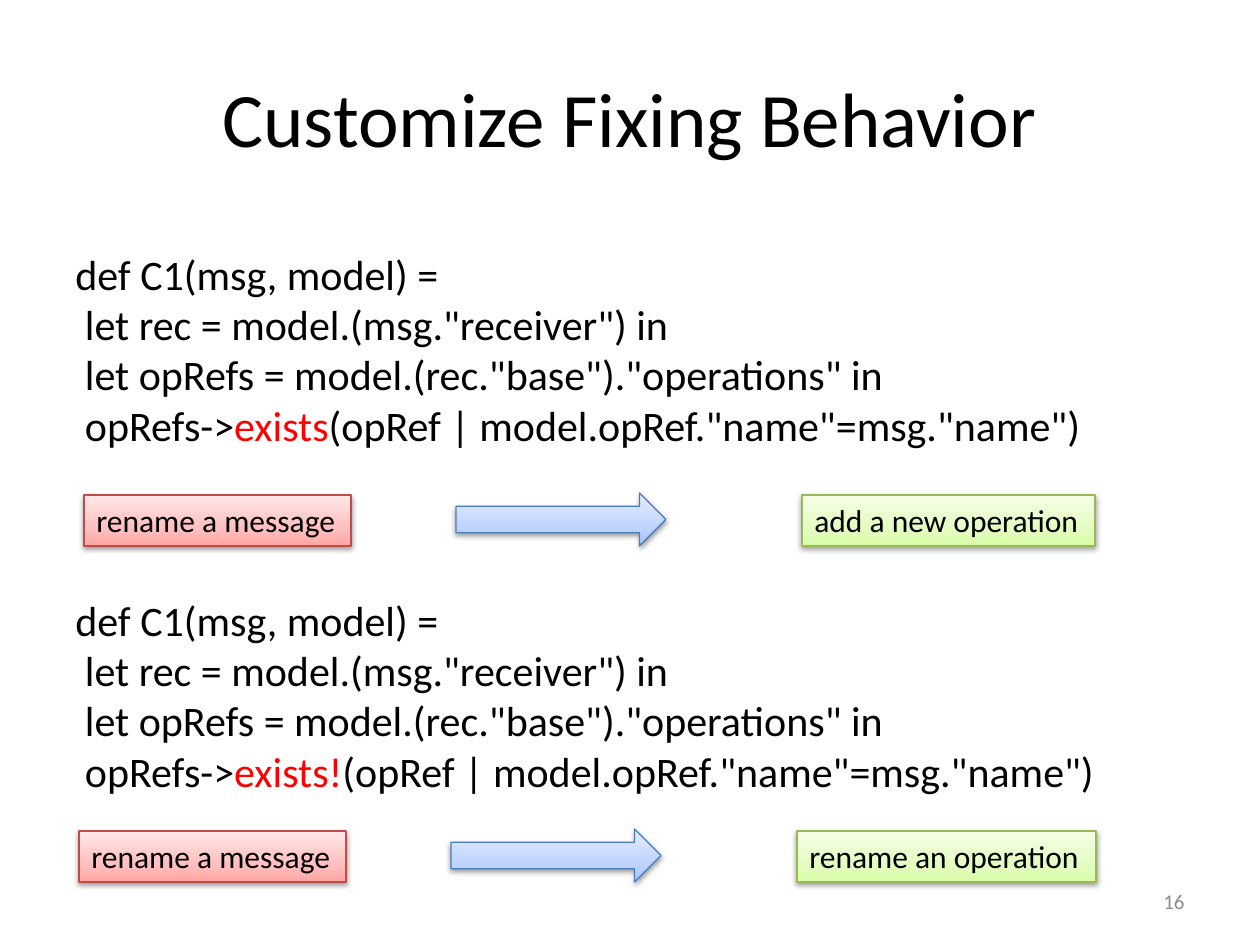
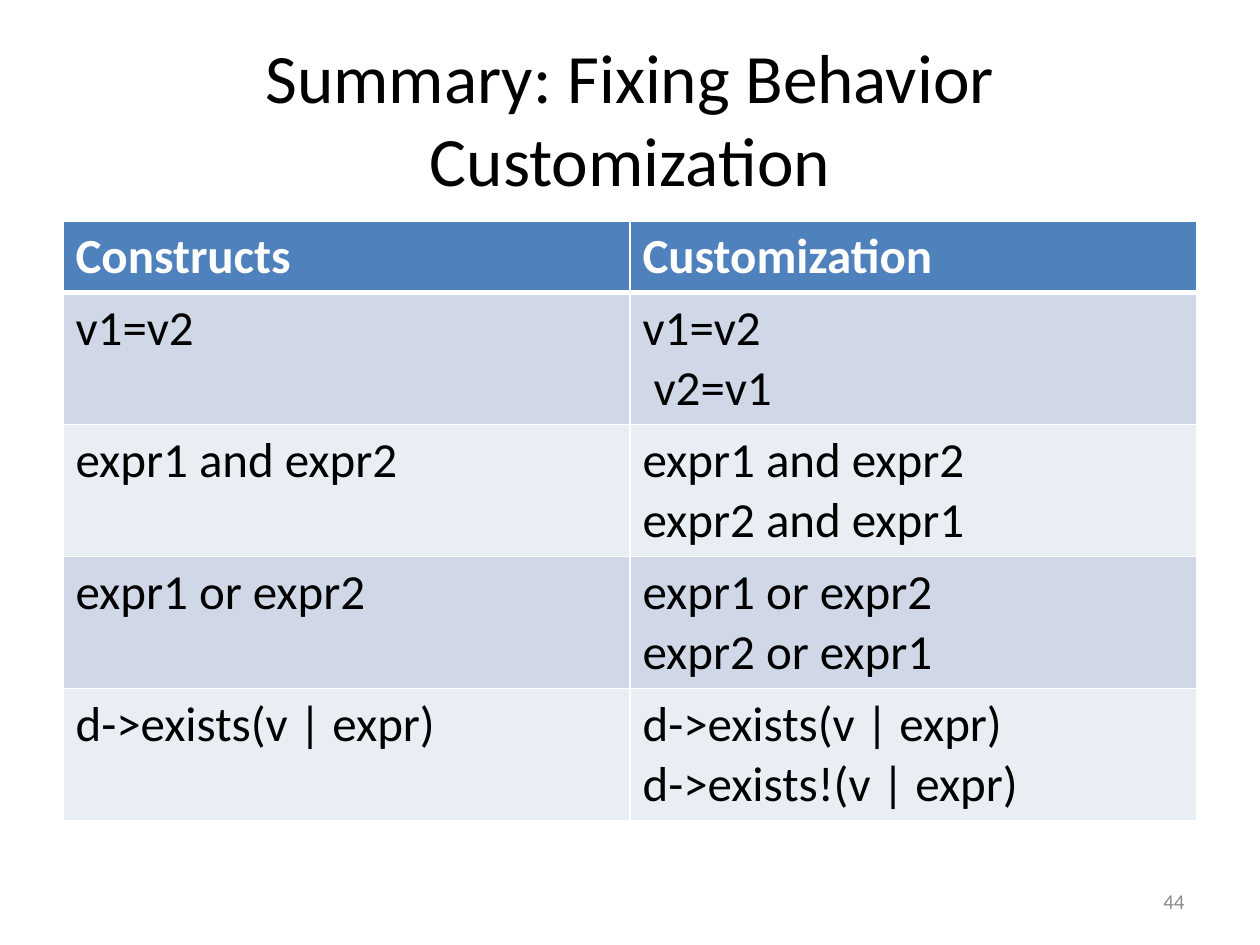
from copy import deepcopy

from lxml import etree
from pptx import Presentation
from pptx.dml.color import RGBColor
from pptx.enum.shapes import MSO_SHAPE
from pptx.enum.text import MSO_ANCHOR, PP_ALIGN
from pptx.oxml.ns import qn
from pptx.util import Pt

RECTANGLE, RIGHT_ARROW = MSO_SHAPE.RECTANGLE, MSO_SHAPE.RIGHT_ARROW
TOP, MIDDLE = MSO_ANCHOR.TOP, MSO_ANCHOR.MIDDLE
LEFT, CENTER, RIGHT = PP_ALIGN.LEFT, PP_ALIGN.CENTER, PP_ALIGN.RIGHT

PX_PER_INCH = 126
FONT = "Calibri"
BLACK, WHITE, GRAY, RED = "000000", "FFFFFF", "8C8C8C", "FF0000"
HEADER_FILL = "4F81BD"
BAND_FILLS = ("D0D8E8", "E9EDF4")

# Line colour, then the gradient from bottom to top
GRADIENT_POSITIONS = (0, 0.35, 1)
RED_STYLE = ("BF4C48", ("FFA6A5", "FFC0BF", "FFE7E7"))
GREEN_STYLE = ("98B955", ("DAFDA7", "E4FCC2", "F5FFE7"))
BLUE_STYLE = ("4B7EBC", ("A4C4FF", "BFD4FF", "E6EEFF"))

CONSTRUCTS = [
    ("Constructs", "Customization"),
    ("v1=v2", "v1=v2\n v2=v1"),
    ("expr1 and expr2", "expr1 and expr2\nexpr2 and expr1"),
    ("expr1 or expr2", "expr1 or expr2\nexpr2 or expr1"),
    ("d->exists(v | expr)", "d->exists(v | expr)\nd->exists!(v | expr)"),
]


def px(length):
    return round(length * 914400 / PX_PER_INCH)


def box(left, top, width, height):
    return [px(length) for length in (left, top, width, height)]


def rgb(color):
    return RGBColor.from_string(color)


def style_run(run, size, color, bold=False):
    run.font.name = FONT
    run.font.size = Pt(size)
    run.font.bold = bold
    run.font.color.rgb = rgb(color)


def style_text(frame, size, color, align=LEFT, bold=False):
    for paragraph in frame.paragraphs:
        paragraph.alignment = align
        for run in paragraph.runs:
            style_run(run, size, color, bold)


def add_text(slide, area, text, size, color=BLACK, align=LEFT, anchor=TOP):
    frame = slide.shapes.add_textbox(*box(*area)).text_frame
    frame.word_wrap = True
    frame.vertical_anchor = anchor
    frame.text = text
    style_text(frame, size, color, align)
    return frame


def add_slide(prs, title, title_size, number):
    """Add a blank slide with the shared title and page number."""
    slide = prs.slides.add_slide(prs.slide_layouts[6])
    add_text(slide, (63, 38, 1134, 158), title, title_size, align=CENTER, anchor=MIDDLE)
    add_text(slide, (903, 876, 294, 50), number, 12, GRAY, RIGHT, MIDDLE)
    return slide


def add_constraint(slide, top, quantifier):
    """Add the constraint code with its quantifier in red."""
    code = ('def C1(msg, model) =\n let rec = model.(msg."receiver") in\n'
            ' let opRefs = model.(rec."base")."operations" in\n opRefs->')
    frame = add_text(slide, (63, top, 1102, 217), code, 24)
    condition = '(opRef | model.opRef."name"=msg."name")'
    for text, color in ((quantifier, RED), (condition, BLACK)):
        run = frame.paragraphs[-1].add_run()
        run.text = text
        style_run(run, 24, color)


def add_soft_shadow(shape):
    shape.shadow.inherit = False
    effects = shape.element.spPr.find(qn("a:effectLst"))
    shadow = etree.SubElement(effects, qn("a:outerShdw"), blurRad="40000",
                              dist="20000", dir="5400000", rotWithShape="0")
    color = etree.SubElement(shadow, qn("a:srgbClr"), val=BLACK)
    etree.SubElement(color, qn("a:alpha"), val="38000")


def add_glossy_shape(slide, kind, area, style):
    line_color, gradient = style
    shape = slide.shapes.add_shape(kind, *box(*area))
    shape.fill.gradient()
    shape.fill.gradient_angle = 90
    stop_list = shape.element.spPr.find(".//" + qn("a:gsLst"))
    stop_list.insert(1, deepcopy(stop_list[0]))
    for stop, position, color in zip(shape.fill.gradient_stops, GRADIENT_POSITIONS, gradient):
        stop.position = position
        stop.color.rgb = rgb(color)
    shape.line.color.rgb = rgb(line_color)
    shape.line.width = Pt(0.75)
    add_soft_shadow(shape)
    return shape


def add_action(slide, area, text, style):
    frame = add_glossy_shape(slide, RECTANGLE, area, style).text_frame
    frame.word_wrap = False
    frame.vertical_anchor = TOP
    frame.text = text
    style_text(frame, 18, BLACK)


def add_fix_change(slide, left, top, new_fix, new_width):
    """Add the default fix, an arrow and the fix that replaces it."""
    add_action(slide, (left, top, 267, 51), "rename a message", RED_STYLE)
    add_glossy_shape(slide, RIGHT_ARROW, (left + 372, top - 2, 210, 53), BLUE_STYLE)
    add_action(slide, (left + 718, top, new_width, 51), new_fix, GREEN_STYLE)


def add_cell_borders(cell, bottom_width):
    properties = cell._tc.get_or_add_tcPr()
    widths = {"L": 1, "R": 1, "T": 1, "B": bottom_width}
    for index, (side, width) in enumerate(widths.items()):
        border = etree.Element(qn(f"a:ln{side}"), w=str(Pt(width)))
        fill = etree.SubElement(border, qn("a:solidFill"))
        etree.SubElement(fill, qn("a:srgbClr"), val=WHITE)
        properties.insert(index, border)


def add_construct_table(slide):
    area = box(63, 221, 1134, 599)
    table = slide.shapes.add_table(len(CONSTRUCTS), 2, *area).table
    for row_index, texts in enumerate(CONSTRUCTS):
        header = row_index == 0
        table.rows[row_index].height = px(71 if header else 132)
        fill = HEADER_FILL if header else BAND_FILLS[(row_index - 1) % 2]
        for column, text in enumerate(texts):
            cell = table.cell(row_index, column)
            cell.text_frame.text = text
            style_text(cell.text_frame, 28, WHITE if header else BLACK, bold=header)
            cell.fill.solid()
            cell.fill.fore_color.rgb = rgb(fill)
            add_cell_borders(cell, 3 if header else 1)
            if row_index == 1:
                cell._tc.tcPr.find(qn("a:lnT")).set("w", str(Pt(3)))


def main():
    prs = Presentation()
    prs.slide_width, prs.slide_height = px(1260), px(945)

    # Two quantifiers and the fixes they lead to
    behavior = add_slide(prs, "Customize Fixing Behavior", 44, "16")
    add_constraint(behavior, 242, "exists")
    add_fix_change(behavior, 84, 495, "add a new operation", 293)
    add_constraint(behavior, 588, "exists!")
    add_fix_change(behavior, 79, 831, "rename an operation", 299)

    # Summary table
    summary = add_slide(prs, "Summary: Fixing Behavior Customization", 39.6, "44")
    add_construct_table(summary)

    prs.save("out.pptx")


if __name__ == "__main__":
    main()
